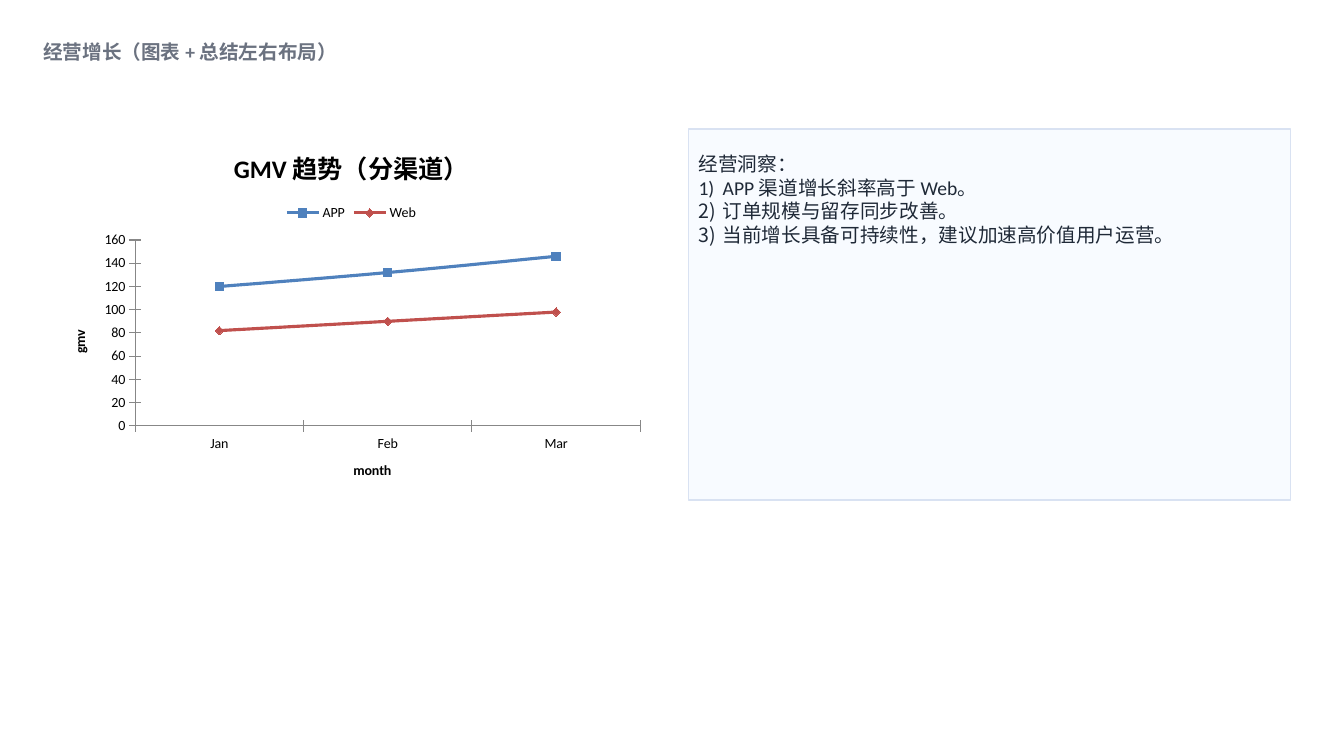
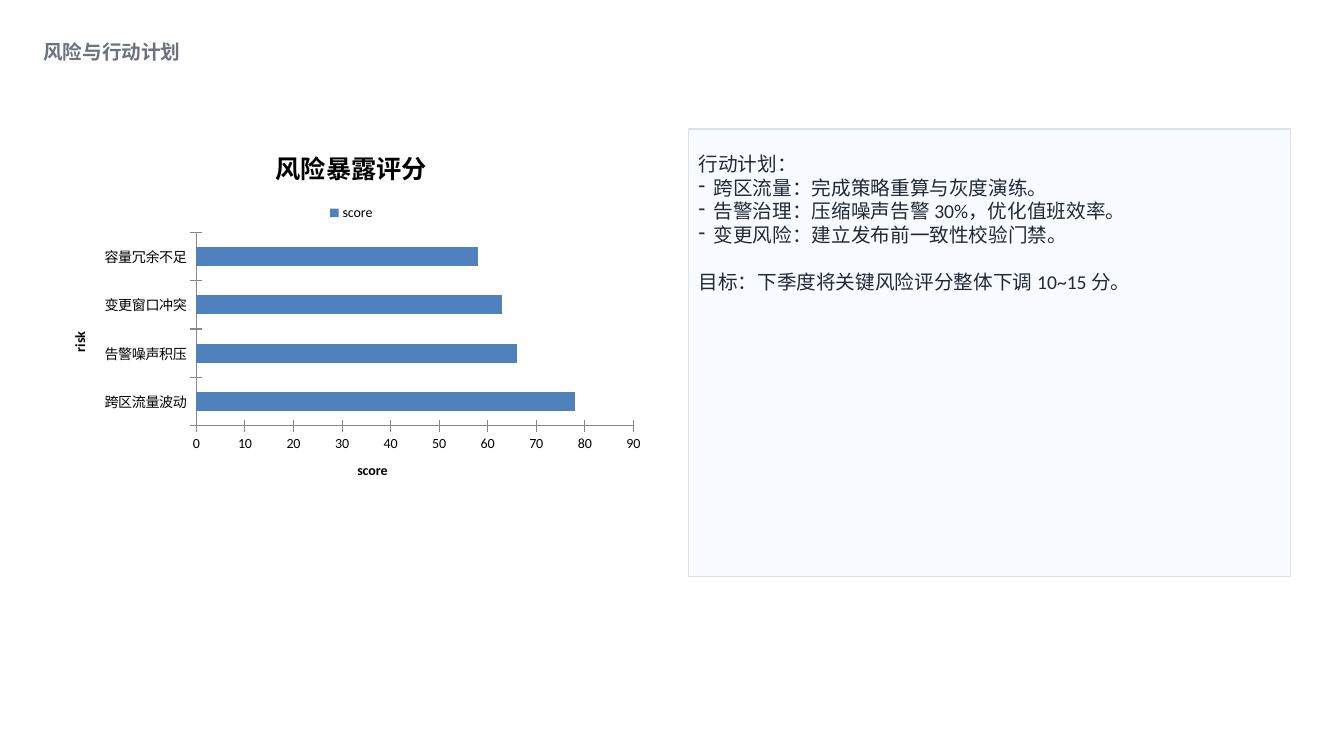
"""Build two business review slides, each with a chart beside a summary panel."""
from dataclasses import dataclass
from typing import Optional

from lxml import etree
from pptx import Presentation
from pptx import util as u
from pptx.chart.data import CategoryChartData
from pptx.dml.color import RGBColor
from pptx.enum import chart as charts, shapes, text
from pptx.oxml import ns

FONT = "Calibri"
WHITE = RGBColor(0xFF, 0xFF, 0xFF)
BLACK = RGBColor(0x00, 0x00, 0x00)
TITLE_GRAY = RGBColor(0x6B, 0x72, 0x80)
BODY_DARK = RGBColor(0x1F, 0x29, 0x37)
PANEL_FILL = RGBColor(0xF8, 0xFB, 0xFF)
PANEL_LINE = RGBColor(0xD9, 0xE2, 0xF2)
AXIS_GRAY = RGBColor(0x87, 0x87, 0x87)
SERIES_COLORS = (RGBColor(0x4F, 0x81, 0xBD), RGBColor(0xC0, 0x50, 0x4D))
MARKERS = (charts.XL_MARKER_STYLE.SQUARE, charts.XL_MARKER_STYLE.DIAMOND)
LINE_CHART = charts.XL_CHART_TYPE.LINE_MARKERS
BAR_CHART = charts.XL_CHART_TYPE.BAR_CLUSTERED

CONTENT_TOP = u.Inches(1.28)
COLUMN_WIDTH = u.Inches(5.97)
CHART_LEFT = u.Inches(0.5)
CHART_HEIGHT = u.Inches(3.68)
PANEL_LEFT = u.Inches(6.83)
TEXT_TOP_INSET = u.Inches(0.23)
CLOSING_GAP = u.Pt(17)


@dataclass(frozen=True)
class ChartSpec:
    kind: charts.XL_CHART_TYPE
    title: str
    category_title: str
    value_title: str
    categories: tuple[str, ...]
    series: dict[str, tuple[int, ...]]


@dataclass(frozen=True)
class Bullet:
    tag: str
    attribute: str
    value: str
    indent: u.Length


@dataclass(frozen=True)
class Panel:
    height: u.Length
    heading: str
    bullet: Bullet
    items: tuple[str, ...]
    closing: Optional[str] = None


@dataclass(frozen=True)
class SlideSpec:
    title: str
    chart: ChartSpec
    panel: Panel


NUMBER = Bullet("a:buAutoNum", "type", "arabicParenR", u.Inches(0.24))
DASH = Bullet("a:buChar", "char", "-", u.Inches(0.15))

SLIDES = (
    SlideSpec(
        "经营增长（图表 + 总结左右布局）",
        ChartSpec(LINE_CHART, "GMV 趋势（分渠道）", "month", "gmv",
                  ("Jan", "Feb", "Mar"),
                  {"APP": (120, 132, 146), "Web": (82, 90, 98)}),
        Panel(u.Inches(3.68), "经营洞察：", NUMBER,
              ("APP 渠道增长斜率高于 Web。",
               "订单规模与留存同步改善。",
               "当前增长具备可持续性，建议加速高价值用户运营。")),
    ),
    SlideSpec(
        "风险与行动计划",
        ChartSpec(BAR_CHART, "风险暴露评分", "risk", "score",
                  ("跨区流量波动", "告警噪声积压", "变更窗口冲突", "容量冗余不足"),
                  {"score": (78, 66, 63, 58)}),
        Panel(u.Inches(4.44), "行动计划：", DASH,
              ("跨区流量：完成策略重算与灰度演练。",
               "告警治理：压缩噪声告警 30%，优化值班效率。",
               "变更风险：建立发布前一致性校验门禁。"),
              "目标：下季度将关键风险评分整体下调 10~15 分。"),
    ),
)


def style_font(font, size: float, color: RGBColor, bold: bool = False) -> None:
    """Apply the deck font with a size, colour and weight."""
    font.name = FONT
    font.size = u.Pt(size)
    font.bold = bold
    font.color.rgb = color


def prepare_frame(frame) -> None:
    """Wrap text from the top with the shared inset."""
    frame.word_wrap = True
    frame.vertical_anchor = text.MSO_ANCHOR.TOP
    frame.margin_top = TEXT_TOP_INSET


def add_title(slide, title: str) -> None:
    """Add the slide title."""
    box = slide.shapes.add_textbox(u.Inches(0.33), u.Inches(0.17),
                                   u.Inches(11.94), u.Inches(0.56))
    prepare_frame(box.text_frame)
    box.text_frame.text = title
    style_font(box.text_frame.paragraphs[0].runs[0].font, 14, TITLE_GRAY, True)


def set_chart_text(frame, wording: str, size: float) -> None:
    """Write a bold chart or axis title."""
    frame.text = wording
    style_font(frame.paragraphs[0].runs[0].font, size, BLACK, True)


def style_axis(axis, title: str) -> None:
    """Give an axis its title, cross ticks and gray line."""
    axis.has_major_gridlines = False
    axis.major_tick_mark = charts.XL_TICK_MARK.CROSS
    axis.minor_tick_mark = charts.XL_TICK_MARK.NONE
    axis.format.line.color.rgb = AXIS_GRAY
    set_chart_text(axis.axis_title.text_frame, title, 10)


def style_series(series, kind: charts.XL_CHART_TYPE, color: RGBColor, marker) -> None:
    """Colour a line with its markers, or a set of bars."""
    if kind != LINE_CHART:
        series.format.fill.solid()
        series.format.fill.fore_color.rgb = color
        return
    series.smooth = True
    series.format.line.color.rgb = color
    series.format.line.width = u.Pt(2.25)
    series.marker.style = marker
    series.marker.size = 6
    series.marker.format.fill.solid()
    series.marker.format.fill.fore_color.rgb = color
    series.marker.format.line.color.rgb = color


def add_chart(slide, spec: ChartSpec) -> None:
    """Add the chart in the left column."""
    data = CategoryChartData()
    data.categories = spec.categories
    for name, values in spec.series.items():
        data.add_series(name, values)
    chart = slide.shapes.add_chart(spec.kind, CHART_LEFT, CONTENT_TOP,
                                   COLUMN_WIDTH, CHART_HEIGHT, data).chart
    style_font(chart.font, 10, BLACK)
    set_chart_text(chart.chart_title.text_frame, spec.title, 18)
    chart.has_legend = True
    chart.legend.position = charts.XL_LEGEND_POSITION.TOP
    chart.legend.include_in_layout = False
    style_axis(chart.category_axis, spec.category_title)
    style_axis(chart.value_axis, spec.value_title)
    plot = chart.plots[0]
    plot.vary_by_categories = False
    if spec.kind == BAR_CHART:
        plot.gap_width = 150
    for series, color, marker in zip(plot.series, SERIES_COLORS, MARKERS):
        style_series(series, spec.kind, color, marker)


def add_bullet(paragraph, bullet: Bullet) -> None:
    """Give a paragraph a hanging bullet or number."""
    properties = paragraph._p.get_or_add_pPr()
    properties.set("marL", str(bullet.indent))
    properties.set("indent", str(-bullet.indent))
    mark = etree.SubElement(properties, ns.qn(bullet.tag))
    mark.set(bullet.attribute, bullet.value)


def add_panel(slide, panel: Panel) -> None:
    """Add the summary panel in the right column."""
    shape = slide.shapes.add_shape(shapes.MSO_SHAPE.RECTANGLE, PANEL_LEFT,
                                   CONTENT_TOP, COLUMN_WIDTH, panel.height)
    shape.shadow.inherit = False
    shape.fill.solid()
    shape.fill.fore_color.rgb = PANEL_FILL
    shape.line.color.rgb = PANEL_LINE
    shape.line.width = u.Pt(1)
    frame = shape.text_frame
    prepare_frame(frame)
    frame.text = panel.heading
    for item in panel.items:
        paragraph = frame.add_paragraph()
        paragraph.text = item
        add_bullet(paragraph, panel.bullet)
    if panel.closing:
        paragraph = frame.add_paragraph()
        paragraph.text = panel.closing
        paragraph.space_before = CLOSING_GAP
    for paragraph in frame.paragraphs:
        paragraph.alignment = text.PP_ALIGN.LEFT
        style_font(paragraph.runs[0].font, 14, BODY_DARK)


def main() -> None:
    """Build and save the presentation."""
    presentation = Presentation()
    presentation.slide_width = u.Inches(13.33)
    presentation.slide_height = u.Inches(7.5)
    for spec in SLIDES:
        slide = presentation.slides.add_slide(presentation.slide_layouts[6])
        slide.background.fill.solid()
        slide.background.fill.fore_color.rgb = WHITE
        add_title(slide, spec.title)
        add_chart(slide, spec.chart)
        add_panel(slide, spec.panel)
    presentation.save("out.pptx")


if __name__ == "__main__":
    main()
